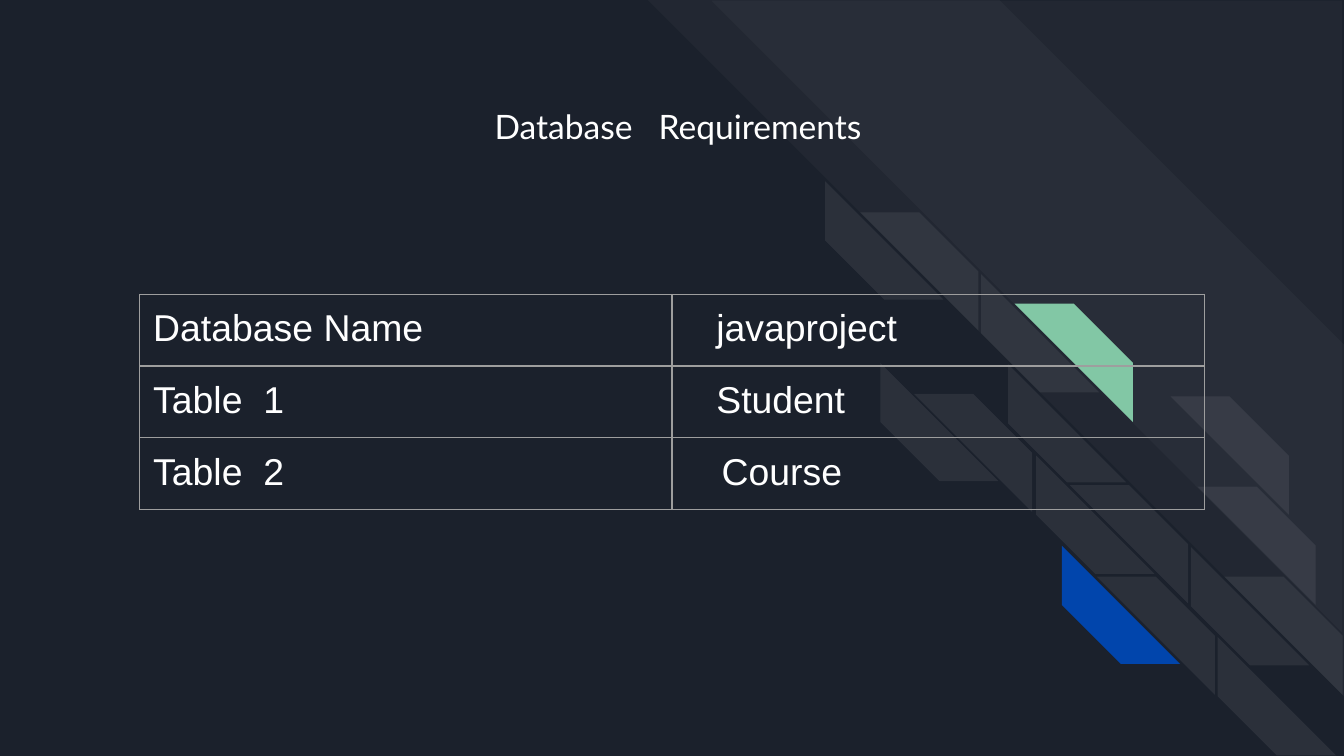
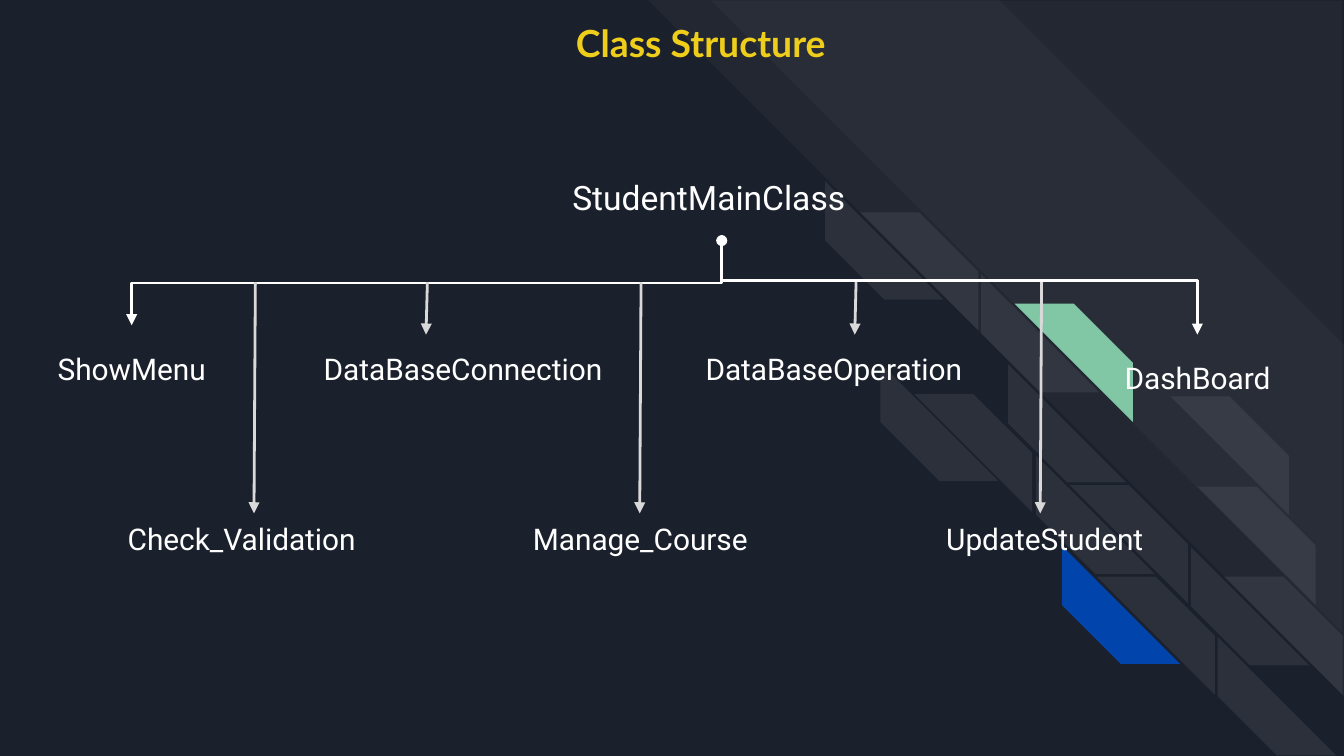
from lxml import etree
from pptx import Presentation
from pptx.dml.color import RGBColor
from pptx.enum.shapes import MSO_CONNECTOR, MSO_SHAPE
from pptx.enum.text import MSO_ANCHOR, MSO_AUTO_SIZE, PP_ALIGN
from pptx.oxml.ns import qn
from pptx.util import Inches, Pt

STRIPE = MSO_SHAPE.DIAGONAL_STRIPE
STRAIGHT, ELBOW = MSO_CONNECTOR.STRAIGHT, MSO_CONNECTOR.ELBOW
LEFT, CENTER = PP_ALIGN.LEFT, PP_ALIGN.CENTER
TOP, MIDDLE = MSO_ANCHOR.TOP, MSO_ANCHOR.MIDDLE
FIT_SHAPE = MSO_AUTO_SIZE.SHAPE_TO_FIT_TEXT

NAVY, WHITE, YELLOW = "1B212C", "FFFFFF", "EECE1A"
GREEN, BLUE = "82C7A5", "0145AC"
LIGHT_GRAY, BORDER_GRAY = "D9D9D9", "9E9E9E"
TITLE_ONLY = 5
PADDING = 0.1
BRICK_SIZE = 0.88

# Left, top, and colour where a brick is not see-through white
RISING_BRICKS = [(6.14, 1.35), (6.55, 2.7), (7.3, 2.04), (7.5, 2.71), (7.71, 3.39),
                 (7.9, 4.06, BLUE), (8.86, 4.07), (9.06, 4.74)]
FALLING_BRICKS = [(6.4, 1.58), (6.8, 2.93), (7.55, 2.26, GREEN), (8.71, 2.95),
                  (8.91, 3.62), (7.96, 3.61), (8.16, 4.29), (9.11, 4.29)]


def color(value):
    return RGBColor.from_string(value)


def add_child(parent, tag, **attributes):
    return etree.SubElement(parent, qn(tag), attributes)


# Shared background
def add_stripe(slide, left, top, width, height, adjustment, fill=None, opacity=7,
               rotation=0, flip=False):
    shape = slide.shapes.add_shape(STRIPE, Inches(left), Inches(top),
                                   Inches(width), Inches(height))
    shape.shadow.inherit = False
    shape.adjustments[0] = adjustment
    shape.rotation = rotation
    shape.line.fill.background()
    shape.fill.solid()
    shape.fill.fore_color.rgb = color(fill or WHITE)
    properties = shape.element.spPr
    if fill is None:
        tint = properties.find(qn("a:solidFill")).find(qn("a:srgbClr"))
        add_child(tint, "a:alpha", val=str(opacity * 1000))
    if flip:
        properties.find(qn("a:xfrm")).set("flipH", "1")
    return shape


def add_brick(slide, left, top, fill=None, **turn):
    return add_stripe(slide, left, top, BRICK_SIZE, BRICK_SIZE, 0.5, fill, **turn)


def decorate_layout(layout, slide):
    """Draw the background stripes and move them into the layout."""
    layout.background.fill.solid()
    layout.background.fill.fore_color.rgb = color(NAVY)
    for placeholder in list(layout.placeholders)[1:]:
        layout.shapes.element.remove(placeholder.element)
    stripes = [
        add_stripe(slide, 4.82, 0, 5.18, 5.18, 0.495, opacity=3, rotation=90),
        add_stripe(slide, 5.29, 0.01, 4.7, 4.69, 0, opacity=3, rotation=90),
    ]
    stripes += [add_brick(slide, *brick, rotation=270) for brick in RISING_BRICKS]
    stripes += [add_brick(slide, *brick, flip=True) for brick in FALLING_BRICKS]
    for stripe in stripes:
        layout.shapes.element.append(stripe.element)


# Text
def write_text(text_frame, text, size, font_name, font_color=WHITE, bold=False,
               alignment=LEFT, tab_stop=None):
    text_frame.text = text
    paragraph = text_frame.paragraphs[0]
    paragraph.alignment = alignment
    if tab_stop:
        tabs = add_child(paragraph._p.get_or_add_pPr(), "a:tabLst")
        add_child(tabs, "a:tab", pos=str(Inches(tab_stop)), algn="l")
    font = paragraph.runs[0].font
    font.size, font.name, font.bold = Pt(size), font_name, bold
    font.color.rgb = color(font_color)


def set_margins(target, left=PADDING):
    target.margin_left = Inches(left)
    target.margin_right = target.margin_top = target.margin_bottom = Inches(PADDING)


def set_title(slide, text, box, size, left_margin=PADDING, **style):
    title = slide.shapes.title
    title.left, title.top, title.width, title.height = map(Inches, box)
    text_frame = title.text_frame
    write_text(text_frame, text, size, "Lato", **style)
    set_margins(text_frame, left_margin)
    text_frame.vertical_anchor = TOP
    text_frame.word_wrap = True
    text_frame.auto_size = FIT_SHAPE


def add_label(slide, text, left, top, width=2.41, size=16, alignment=CENTER,
              left_margin=PADDING):
    box = slide.shapes.add_textbox(Inches(left), Inches(top), Inches(width), Inches(0.64))
    text_frame = box.text_frame
    text_frame.word_wrap = True
    text_frame.vertical_anchor = MIDDLE
    set_margins(text_frame, left_margin)
    write_text(text_frame, text, size, "Roboto", alignment=alignment)


# Lines
def style_line(connector, line_color, head=None, tail=None):
    connector.line.width = Pt(1.5)
    connector.line.color.rgb = color(line_color)
    properties = connector.element.spPr
    line = properties.find(qn("a:ln"))
    for tag, end in (("a:headEnd", head), ("a:tailEnd", tail)):
        if end:
            add_child(line, tag, type=end)
    add_child(properties, "a:effectLst")


def add_arrow(slide, start, end):
    connector = slide.shapes.add_connector(STRAIGHT, *map(Inches, start + end))
    style_line(connector, LIGHT_GRAY, tail="triangle")


def add_branch(slide, start, end, bend, head, tail):
    """Elbow that runs vertically, across to the right, then vertically again."""
    (x1, y1), (x2, y2) = start, end
    width, height = abs(y2 - y1), x2 - x1
    left, top = (x1 + x2 - width) / 2, (y1 + y2 - height) / 2
    connector = slide.shapes.add_connector(
        ELBOW, *map(Inches, (left, top, left + width, top + height)))
    properties = connector.element.spPr
    frame = properties.find(qn("a:xfrm"))
    frame.set("rot", str(270 * 60000))
    if y2 > y1:
        frame.set("flipH", "1")
    guides = properties.find(qn("a:prstGeom")).find(qn("a:avLst"))
    add_child(guides, "a:gd", name="adj1", fmla=f"val {round(bend * 100000)}")
    style_line(connector, WHITE, head, tail)


# Table
def set_borders(cell):
    properties = cell._tc.get_or_add_tcPr()
    for index, side in enumerate(("a:lnL", "a:lnR", "a:lnT", "a:lnB")):
        line = etree.Element(qn(side), w=str(Pt(0.75)))
        add_child(add_child(line, "a:solidFill"), "a:srgbClr", val=BORDER_GRAY)
        properties.insert(index, line)


def add_requirements_table(slide, rows):
    frame = slide.shapes.add_table(len(rows), 2, Inches(1.04), Inches(2.19),
                                   Inches(7.92), Inches(0.42 * len(rows)))
    frame.width = frame.height = Inches(3.28)
    table = frame.table
    table.first_row = table.horz_banding = False
    for row_index, (name, value, value_margin) in enumerate(rows):
        for column, (text, margin) in enumerate(((name, PADDING), (value, value_margin))):
            cell = table.cell(row_index, column)
            set_margins(cell, margin)
            write_text(cell.text_frame, text, 20, "Arial",
                       tab_stop=0.82 if "\t" in text else None)
            cell.fill.background()
            set_borders(cell)


# Slides
def fill_requirements_slide(slide):
    set_title(slide, "Database\tRequirements", (3.58, 0.69, 3.73, 0.5), 18, tab_stop=1.22)
    add_requirements_table(slide, [
        ("Database Name", "javaproject", 0.33),
        ("Table\t1", "Student", 0.33),
        ("Table\t2", "Course", 0.37),
    ])


def fill_class_slide(slide):
    set_title(slide, "Class Structure", (0.05, 0.05, 9.85, 0.54), 20, left_margin=0.58,
              font_color=YELLOW, bold=True, alignment=CENTER)
    root = (5.37, 1.79)
    add_branch(slide, root, (8.91, 2.49), 0.423, "diamond", "triangle")
    add_branch(slide, (0.98, 2.42), root, 0.5, "triangle", "oval")
    for x, bottom in ((3.18, 2.49), (6.37, 2.49), (1.9, 3.82), (4.77, 3.82), (7.75, 3.82)):
        add_arrow(slide, (x, 2.1), (x - 0.01, bottom))

    add_label(slide, "StudentMainClass", 4.16, 1.15, size=18, alignment=LEFT)
    add_label(slide, "ShowMenu", 0.14, 2.42, width=1.68)
    add_label(slide, "DashBoard", 8.07, 2.49, width=1.68)
    add_label(slide, "DataBaseConnection", 2.24, 2.42)
    add_label(slide, "DataBaseOperation", 5, 2.42)
    add_label(slide, "Check_Validation", 0.68, 3.69, alignment=LEFT, left_margin=0.27)
    add_label(slide, "Manage_Course", 3.56, 3.69)
    add_label(slide, "UpdateStudent", 6.67, 3.69, alignment=LEFT, left_margin=0.37)


def main():
    presentation = Presentation()
    presentation.slide_width = Inches(10)
    presentation.slide_height = Inches(10) * 9 // 16
    layout = presentation.slide_layouts[TITLE_ONLY]
    requirements, classes = [presentation.slides.add_slide(layout) for _ in range(2)]
    decorate_layout(layout, requirements)
    fill_requirements_slide(requirements)
    fill_class_slide(classes)
    presentation.save("out.pptx")


if __name__ == "__main__":
    main()
